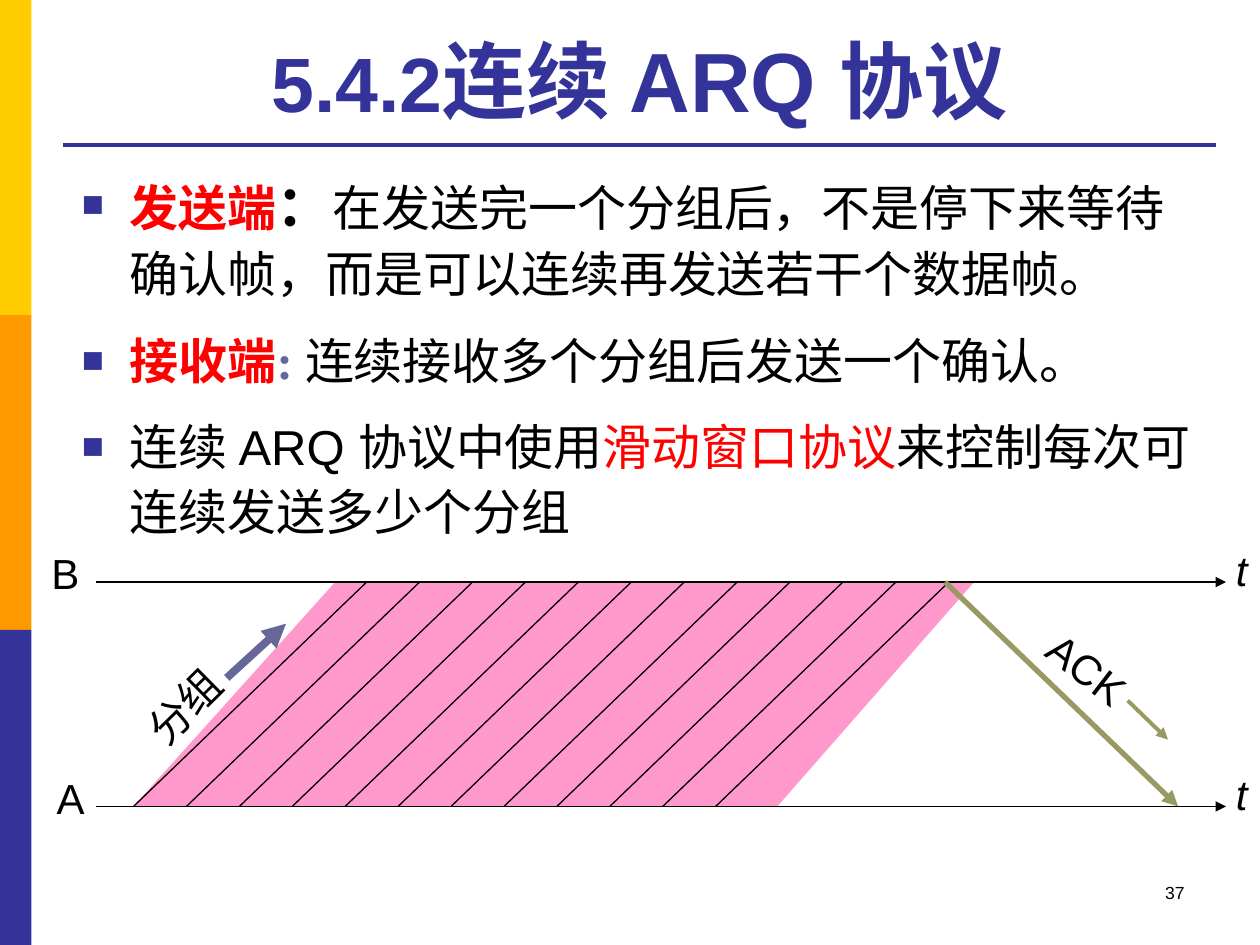
from lxml import etree
from pptx import Presentation
from pptx.dml.color import RGBColor
from pptx.enum.shapes import MSO_CONNECTOR, MSO_SHAPE
from pptx.enum.text import MSO_ANCHOR, MSO_AUTO_SIZE, PP_ALIGN
from pptx.oxml.ns import qn
from pptx.util import Inches, Pt

STRAIGHT = MSO_CONNECTOR.STRAIGHT
RECTANGLE = MSO_SHAPE.RECTANGLE
BOTTOM, TOP = MSO_ANCHOR.BOTTOM, MSO_ANCHOR.TOP
NO_FIT, GROW = MSO_AUTO_SIZE.NONE, MSO_AUTO_SIZE.SHAPE_TO_FIT_TEXT
LEFT, CENTER, RIGHT = PP_ALIGN.LEFT, PP_ALIGN.CENTER, PP_ALIGN.RIGHT

BLUE, YELLOW, ORANGE = "333399", "FFCC00", "FF9900"
BLACK, RED, SLATE = "000000", "FF0000", "666699"
PINK, OLIVE = "FF99CC", "999966"
SANS, SERIF = "Arial", "Times New Roman"


def color(hex_value):
    return RGBColor.from_string(hex_value)


def add_run(paragraph, text, size, hex_value=BLACK, font=SANS, bold=False, italic=False):
    run = paragraph.add_run()
    run.text = text
    run.font.size = Pt(size)
    run.font.name = font
    run.font.bold = bold
    run.font.italic = italic
    run.font.color.rgb = color(hex_value)


def place(shape, box):
    shape.left, shape.top, shape.width, shape.height = map(Inches, box)


def paint(shape, hex_value):
    shape.fill.solid()
    shape.fill.fore_color.rgb = color(hex_value)
    shape.line.fill.background()
    shape.shadow.inherit = False


def add_line(slide, start, end, hex_value=BLACK, width=0.75, arrow=False):
    line = slide.shapes.add_connector(STRAIGHT, *map(Inches, (*start, *end)))
    line.line.color.rgb = color(hex_value)
    line.line.width = Pt(width)
    if arrow:
        etree.SubElement(line.line._get_or_add_ln(), qn("a:tailEnd"), type="triangle")
    etree.SubElement(line._element.spPr, qn("a:effectLst"))


def add_label(slide, box, text, size=24, align=LEFT, italic=False, rotation=0):
    label = slide.shapes.add_textbox(*map(Inches, box))
    label.text_frame.word_wrap = False
    label.text_frame.auto_size = GROW
    label.rotation = rotation
    paragraph = label.text_frame.paragraphs[0]
    paragraph.alignment = align
    add_run(paragraph, text, size, italic=italic)


def add_side_band(slide, box):
    left, top, width, height = box
    stripes = (YELLOW, ORANGE, BLUE)
    step = height / len(stripes)
    for i, hex_value in enumerate(stripes):
        stripe = slide.shapes.add_shape(
            RECTANGLE, *map(Inches, (left, top + i * step, width, step)))
        paint(stripe, hex_value)


def add_title(slide, box):
    title = slide.shapes.title
    place(title, box)
    frame = title.text_frame
    frame.vertical_anchor = BOTTOM
    frame.auto_size = NO_FIT
    heading = frame.paragraphs[0]
    heading.alignment = CENTER
    add_run(heading, "5.4.2", 44, BLUE, bold=True)
    add_run(heading, "连续 ARQ 协议", 48, BLUE, bold=True)
    left, _, width, _ = box
    add_line(slide, (left, 1.15), (left + width, 1.15), BLUE, 2.25)


def format_bullet(paragraph, first):
    paragraph.line_spacing = 1.1
    paragraph.space_before = Pt(0 if first else 6)
    paragraph.space_after = Pt(6.5)
    properties = paragraph._p.get_or_add_pPr()
    properties.set("marL", str(Inches(0.38)))
    properties.set("indent", str(Inches(-0.38)))
    bullet_color = etree.SubElement(properties, qn("a:buClr"))
    etree.SubElement(bullet_color, qn("a:srgbClr"), val=BLUE)
    etree.SubElement(properties, qn("a:buSzPct"), val="75000")
    etree.SubElement(properties, qn("a:buFont"), typeface=SANS)
    etree.SubElement(properties, qn("a:buChar"), char="■")


def add_points(slide, box):
    points = [
        [("发送端", 28, RED, SERIF, True),
         ("：", 32, BLACK, SERIF, True),
         ("在发送完一个分组后，不是停下来等待确认帧，而是可以连续再发送若干个数据帧。", 28)],
        [("接收端", 28, RED, SERIF, True),
         (": ", 28, SLATE, SERIF, True),
         ("连续接收多个分组后发送一个确认。", 28)],
        [("连续 ARQ 协议中使用", 28),
         ("滑动窗口协议", 28, RED),
         ("来控制每次可连续发送多少个分组", 28)],
    ]
    body = slide.placeholders[1]
    place(body, box)
    frame = body.text_frame
    frame.auto_size = NO_FIT
    frame.vertical_anchor = TOP
    for i, runs in enumerate(points):
        paragraph = frame.add_paragraph() if i else frame.paragraphs[0]
        format_bullet(paragraph, first=i == 0)
        for run in runs:
            add_run(paragraph, *run)


def add_packet_stream(slide, box, packets=12):
    left, top, width, height = box
    bottom = top + height
    builder = slide.shapes.build_freeform(Inches(left), Inches(bottom))
    corners = [(left + 1.6, top), (left + width, top), (left + 5.11, bottom)]
    builder.add_line_segments([(Inches(x), Inches(y)) for x, y in corners], close=True)
    paint(builder.convert_to_shape(), PINK)
    pitch, slant = 0.42, 1.85
    for i in range(packets):
        x = left + i * pitch
        add_line(slide, (x, bottom), (x + slant, top))


def add_timing_diagram(slide, box):
    left, top, width, height = box
    bottom, right = top + height, left + width
    add_packet_stream(slide, (left + 0.3, top, 6.67, height))
    for y, station, station_left in ((top, "B", 0.31), (bottom, "A", 0.35)):
        add_line(slide, (left, y), (right, y), arrow=True)
        add_label(slide, (station_left, y - 0.32, 0.42, 0.5), station)
        add_label(slide, (right - 0.02, y - 0.35, 0.29, 0.5), "t", italic=True)
    add_label(slide, (left + 0.27, top + 0.73, 0.87, 0.5), "分组", rotation=315.3)
    add_line(slide, (left + 1.04, top + 0.76), (left + 1.51, top + 0.33), SLATE, 4.5, True)
    add_label(slide, (right - 1.54, top + 0.44, 0.89, 0.5), "ACK", rotation=37.8)
    add_line(slide, (right - 0.78, top + 0.94), (right - 0.46, top + 1.25), OLIVE, 2.25, True)
    add_line(slide, (right - 2.23, top), (right - 0.38, bottom), OLIVE, 3, True)


def main():
    presentation = Presentation()
    presentation.slide_width, presentation.slide_height = Inches(10), Inches(7.5)
    slide = presentation.slides.add_slide(presentation.slide_layouts[1])
    add_side_band(slide, (0, 0, 0.25, 7.5))
    add_title(slide, (0.5, 0.21, 9.15, 0.87))
    add_points(slide, (0.55, 1.25, 9.14, 4.64))
    add_timing_diagram(slide, (0.76, 4.62, 8.97, 1.78))
    add_label(slide, (7.17, 6.95, 2.33, 0.5), "37", 10, RIGHT)
    presentation.save("out.pptx")


if __name__ == "__main__":
    main()
